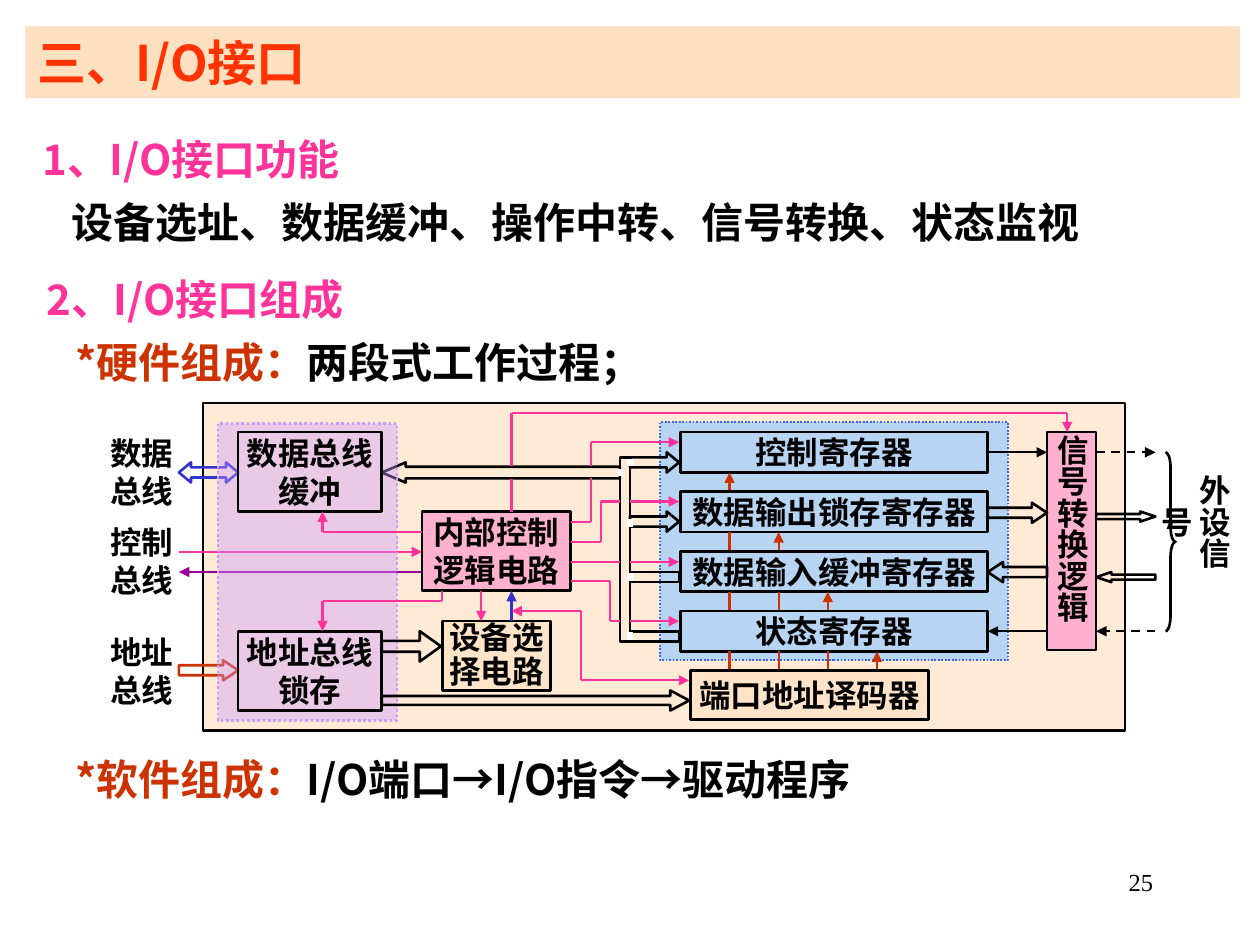
from dataclasses import dataclass
from typing import Any

from lxml.etree import SubElement
from pptx import Presentation
from pptx.dml.color import RGBColor
from pptx.enum.dml import MSO_LINE
from pptx.enum.shapes import MSO_CONNECTOR, MSO_SHAPE
from pptx.enum.text import MSO_ANCHOR, MSO_AUTO_SIZE, PP_ALIGN
from pptx.oxml.ns import qn
from pptx.util import Inches, Pt

C = {"black": "000000", "white": "FFFFFF", "orange": "FF3300", "pink": "FF3399",
     "rust": "CC3300", "peach": "FFCC99", "rose": "FF99CC", "sky": "99CCFF",
     "lilac": "CC99FF", "blue": "3333CC", "edge": "3366FF", "purple": "990099"}
CJK = "Noto Sans CJK SC"


def rgb(name):
    """Look up a named colour."""
    return RGBColor.from_string(C[name])


def write(tf, paras, size=18, font=CJK, bold=True, align=PP_ALIGN.CENTER, anchor=MSO_ANCHOR.MIDDLE,
          insets=(0.02, 0.01), spacing=1.0, indents=(0,), vert=None):
    """Fill a text frame with paragraphs, each a list of (text, colour) runs."""
    tf.word_wrap, tf.auto_size, tf.vertical_anchor = True, MSO_AUTO_SIZE.NONE, anchor
    tf.margin_left = tf.margin_right = Inches(insets[0])
    tf.margin_top = tf.margin_bottom = Inches(insets[1])
    if vert:
        tf._txBody.bodyPr.set("vert", vert)
    for i, runs in enumerate(paras):
        p = tf.add_paragraph() if i else tf.paragraphs[0]
        p.alignment, p.line_spacing = align, spacing
        p.space_before = p.space_after = Pt(0)
        pPr = p._p.get_or_add_pPr()
        pPr.set("marL", str(Inches(indents[i])))
        pPr.set("indent", "0")
        SubElement(pPr, qn("a:buNone"))
        for text, color in runs:
            r = p.add_run()
            r.text = text
            r.font.size, r.font.bold, r.font.name = Pt(size), bold, font
            r.font.color.rgb = rgb(color)
            SubElement(r._r.get_or_add_rPr(), qn("a:ea"), typeface=font)


def paint(sp, color, alpha):
    """Give a shape a partly transparent fill."""
    sp.fill.solid()
    sp.fill.fore_color.rgb = rgb(color)
    clr = sp._element.spPr.find(qn("a:solidFill"))[0]
    SubElement(clr, qn("a:alpha"), val=str(alpha * 1000))


@dataclass
class Region:
    """A box on the slide whose parts are placed from its top left corner."""
    s: Any
    x: float
    y: float
    w: float
    h: float

    def place(self, x, y, w, h):
        """Turn a local box into slide lengths."""
        return Inches(self.x + x), Inches(self.y + y), Inches(w), Inches(h)

    def block(self, x, y, w, h, text=None, fill=None, line="black", width=1.5, dash=None,
              kind=MSO_SHAPE.RECTANGLE, adj=(), turn=0, **fmt):
        """Add an outlined shape, optionally filled and labelled."""
        sp = self.s.shapes.add_shape(kind, *self.place(x, y, w, h))
        sp.shadow.inherit = False
        for i, a in enumerate(adj):
            sp.adjustments[i] = a
        sp.rotation = turn
        if fill:
            paint(sp, *fill)
        else:
            sp.fill.background()
        sp.line.color.rgb, sp.line.width = rgb(line), Pt(width)
        if dash:
            sp.line.dash_style = dash
        if text:
            write(sp.text_frame, [[(text, "black")]], **fmt)

    def arrow(self, x, y, w, h, adj, **style):
        """Add a hollow block arrow."""
        self.block(x, y, w, h, kind=style.pop("kind", MSO_SHAPE.RIGHT_ARROW), adj=adj, **style)

    def label(self, x, y, w, h, text, color="black", **fmt):
        """Add a plain text box."""
        tb = self.s.shapes.add_textbox(*self.place(x, y, w, h))
        write(tb.text_frame, [[(text, color)]], **fmt)

    def route(self, *points, color="pink", width=1.25, head=False, tail=False, dash=None):
        """Draw straight segments through points, with arrowheads at the ends."""
        last = len(points) - 2
        for i, (a, b) in enumerate(zip(points, points[1:])):
            c = self.s.shapes.add_connector(MSO_CONNECTOR.STRAIGHT, *self.place(*a, 0, 0)[:2],
                                            *self.place(*b, 0, 0)[:2])
            c.line.color.rgb, c.line.width = rgb(color), Pt(width)
            if dash:
                c.line.dash_style = dash
            ln = c.line._get_or_add_ln()
            if head and i == 0:
                SubElement(ln, qn("a:headEnd"), type="triangle")
            if tail and i == last:
                SubElement(ln, qn("a:tailEnd"), type="triangle")
            SubElement(c._element.spPr, qn("a:effectLst"))


def headings(s):
    """Fill the title and the three body placeholders."""
    title, *bodies = s.placeholders
    title.left, title.top, title.width, title.height = map(Inches, (0.2, 0.21, 9.64, 0.57))
    paint(title, "peach", 60)
    fmt = dict(align=PP_ALIGN.LEFT, anchor=MSO_ANCHOR.TOP, insets=(0.1, 0.05))
    write(title.text_frame, [[("三、I/O接口", "orange")]], size=28, **fmt)
    texts = [
        ((0.24, 0.91, 9.64, 1.1), (0, 0.23),
         [[("1、I/O接口功能", "pink")],
          [("设备选址、数据缓冲、操作中转、信号转换、状态监视", "black")]]),
        ((0.27, 2.02, 9.53, 1.1), (0, 0.23),
         [[("2、I/O接口组成", "pink")],
          [("*硬件组成：", "rust"), ("两段式工作过程；", "black")]]),
        ((0.27, 5.83, 9.53, 0.6), (0.23,),
         [[("*软件组成：", "rust"), ("I/O端口→I/O指令→驱动程序", "black")]])]
    for sp, (box, indents, paras) in zip(bodies, texts):
        sp.left, sp.top, sp.width, sp.height = map(Inches, box)
        write(sp.text_frame, paras, size=24, spacing=1.25, indents=indents, **fmt)
    for sp in bodies[len(texts):]:
        sp._element.getparent().remove(sp._element)


def system_buses(g):
    """Draw the data, control and address buses on the left."""
    for y, text in ((0, "数据总线"), (0.71, "控制总线"), (1.58, "地址总线")):
        g.label(0, y, 0.59, 0.63, text)
    g.arrow(0.59, 0.24, 0.47, 0.16, (0.5, 0.6), kind=MSO_SHAPE.LEFT_RIGHT_ARROW, line="blue")
    g.arrow(0.59, 1.81, 0.47, 0.16, (0.5, 0.75), line="rust")
    g.route((0.59, 0.95), (g.w, 0.95), tail=True)
    g.route((g.w, 1.11), (0.59, 1.11), color="purple", tail=True)


def device_signals(g):
    """Draw the peripheral signals on the right."""
    g.route((0, 0.16), (0.47, 0.16), color="black", dash=MSO_LINE.DASH, tail=True)
    g.route((0.47, 1.58), (0, 1.58), color="black", dash=MSO_LINE.DASH, tail=True)
    g.arrow(0, 0.63, 0.47, 0.08, (0.5, 1.5))
    g.arrow(0, 1.11, 0.47, 0.08, (0.5, 1.5), turn=180)
    g.block(0.55, 0.16, 0.08, 1.42, kind=MSO_SHAPE.RIGHT_BRACE, adj=(1.5, 0.5))
    g.label(0.63, 0.32, 0.31, 1.02, "外设信号", insets=(0.01, 0.02), vert="eaVert")


def registers(g):
    """Stack the registers and the select lines that rise to each of them."""
    names = ("控制寄存器", "数据输出锁存寄存器", "数据输入缓冲寄存器", "状态寄存器")
    g.block(0, 0, g.w, g.h, fill=("sky", 70), line="edge", width=1, dash=MSO_LINE.ROUND_DOT)
    height, pitch = 0.32, (g.h - 0.47) / 3
    for i, name in enumerate(names):
        y = 0.08 + i * pitch
        g.block(0.16, y, 2.44, height, name)
        for j in range(i + 1):
            x = 0.55 + j * 0.39
            g.route((x, y + pitch), (x, y + height), color="rust", tail=i == j)


def internal_bus(g):
    """Draw the inner data bus and open its joints."""
    g.block(1.89, 0.04, 0.08, 1.46)
    for y in (0, 0.47):
        g.arrow(1.97, y, 0.39, 0.16, (0.5, 0.62))
    for y in (0.95, 1.42):
        g.block(1.97, y, 0.39, 0.08)
    g.arrow(0, 0.08, 1.89, 0.16, (0.58, 1.18), turn=180)
    for x, y in ((1.97, 0.05), (1.97, 0.53), (1.97, 0.96), (1.97, 1.43), (1.89, 0.13)):
        g.route((x, y), (x, y + 0.06), color="white", width=3)


def bus_latches(g):
    """Draw the bus buffer and the address latch."""
    g.block(0, 0, g.w, g.h, fill=("lilac", 40), line="lilac", dash=MSO_LINE.ROUND_DOT)
    for y, text in ((0.07, "数据总线缓冲"), (1.65, "地址总线锁存")):
        g.block(0.16, y, 1.14, 0.63, text)


def signal_converter(g):
    """Draw the conversion logic and its links to the registers."""
    g.block(0.47, 0, 0.39, g.h, "信号转换逻辑", fill=("rose", 70), insets=(0.01, 0.02), vert="eaVert")
    g.route((0, 0.16), (0.47, 0.16), color="black", tail=True)
    g.route((0.47, 1.58), (0, 1.58), color="black", tail=True)
    g.arrow(0, 0.56, 0.47, 0.16, (0.5, 0.75))
    g.arrow(0, 1.03, 0.47, 0.16, (0.5, 0.75), turn=180)


def control_logic(g):
    """Draw the control, select and decode blocks with their wires."""
    g.block(1.74, 0.86, 1.18, 0.63, "内部控制逻辑电路", fill=("rose", 70))
    g.block(1.9, 1.73, 0.86, 0.55, "设备选择电路", fill=("peach", 20), spacing=0.9)
    g.block(3.87, 2.12, 1.89, 0.39, "端口地址译码器", fill=("peach", 20))
    g.arrow(1.42, 2.28, 2.44, 0.16, (0.44, 0.94))
    g.arrow(1.42, 1.81, 0.47, 0.24, (0.36, 0.7))
    g.route((2.45, 1.73), (2.45, 1.49), color="blue", tail=True)
    g.route((2.45, 1.65), (3, 1.65), (3, 2.2), (3.86, 2.2), head=True, tail=True)
    for points in (((1.74, 1.02), (0.95, 1.02), (0.95, 0.86)),
                   ((1.9, 1.49), (1.9, 1.57), (0.95, 1.57), (0.95, 1.81)),
                   ((2.21, 1.49), (2.21, 1.73)),
                   ((3.08, 0.5), (3.08, 0.31), (3.78, 0.31)),
                   ((2.45, 0.5), (2.45, 0.08), (6.86, 0.08), (6.86, 0.23)),
                   *(((3.39, y), (3.78, y)) for y in (0.78, 1.26, 1.73))):
        g.route(*points, tail=True)
    for points in (((2.92, 0.94), (3.08, 0.94), (3.08, 0.59)),
                   ((2.92, 1.1), (3.16, 1.1), (3.16, 0.78), (3.31, 0.78)),
                   ((2.92, 1.26), (3.31, 1.26)),
                   ((2.92, 1.41), (3.23, 1.41), (3.23, 1.73), (3.31, 1.73)),
                   ((2.45, 0.86), (2.45, 0.6))):
        g.route(*points)


def main():
    """Build the slide and save it."""
    prs = Presentation()
    prs.slide_width, prs.slide_height = Inches(10), Inches(7.5)
    s = prs.slides.add_slide(prs.slide_layouts[4])
    headings(s)
    frame = Region(s, 1.61, 3.2, 7.32, 2.6)
    frame.block(0, 0, frame.w, frame.h, fill=("peach", 40))
    system_buses(Region(s, 0.83, 3.43, 2.52, 2.21))
    device_signals(Region(s, 8.7, 3.43, 0.94, 1.73))
    registers(Region(s, 5.24, 3.35, 2.76, 1.89))
    internal_bus(Region(s, 3.03, 3.59, 2.36, 1.5))
    bus_latches(Region(s, 1.73, 3.36, 1.42, 2.36))
    signal_converter(Region(s, 7.84, 3.43, 0.86, 1.73))
    control_logic(frame)
    Region(s, 7.17, 6.83, 2.08, 0.5).label(0, 0, 2.08, 0.5, "25", size=14, font="Times New Roman", bold=False,
                                           align=PP_ALIGN.RIGHT, anchor=MSO_ANCHOR.TOP, insets=(0.1, 0.05))
    prs.save("out.pptx")


if __name__ == "__main__":
    main()
